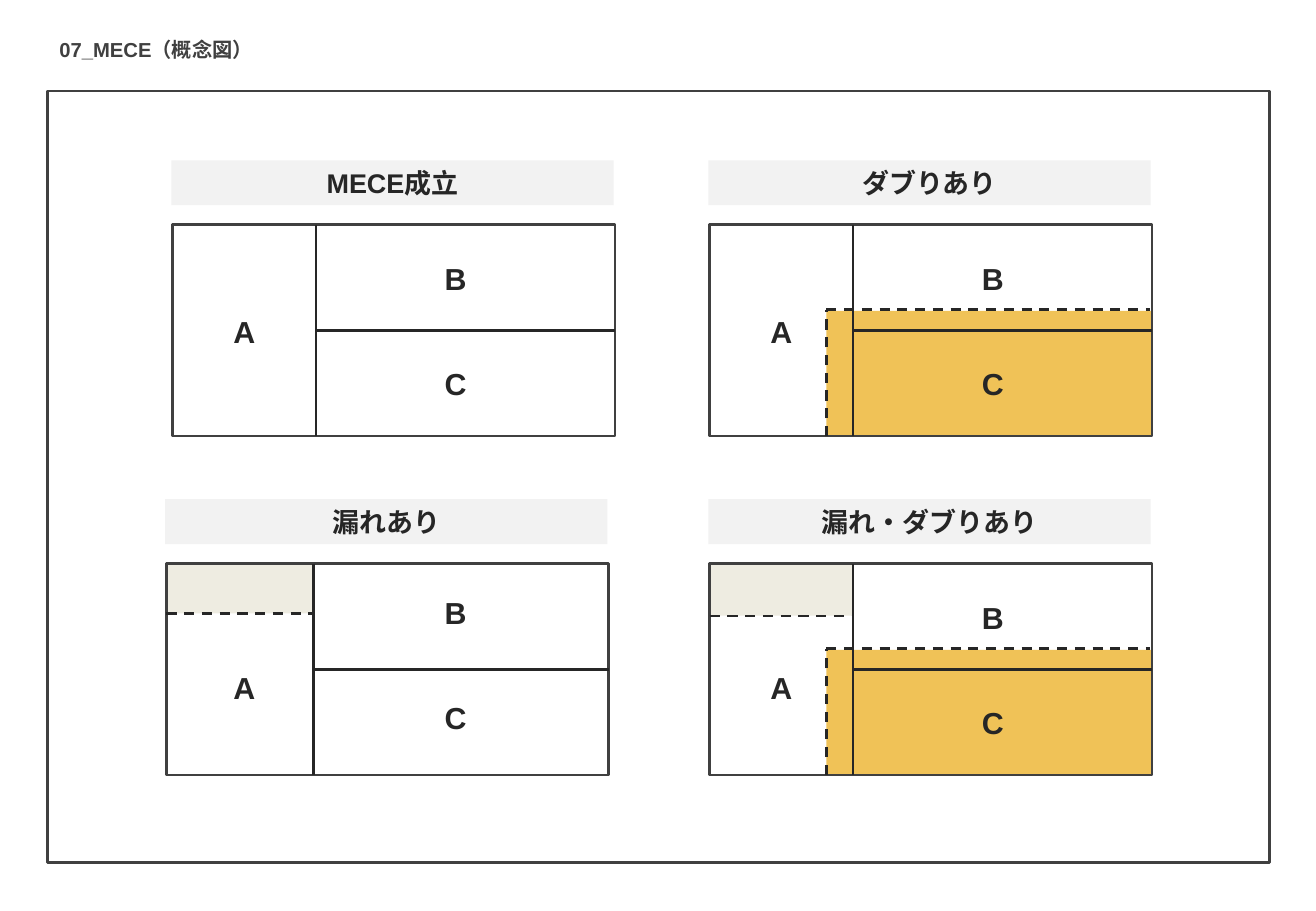
from pptx import Presentation
from pptx.dml.color import RGBColor
from pptx.enum.dml import MSO_LINE
from pptx.enum.shapes import MSO_CONNECTOR, MSO_SHAPE
from pptx.enum.text import MSO_ANCHOR, PP_ALIGN
from pptx.oxml.ns import qn
from pptx.util import Inches, Pt
from lxml import etree

INK, FRAME, HEADER = "262626", "404040", "F2F2F2"
LEAK, OVERLAP = "EEECE1", "F0C257"
BOX_W, BOX_H = 3.64, 1.74
LABEL_W, LABEL_H = 1.18, 0.4


def rgb(value):
    return RGBColor.from_string(value)


def write(sp, text, size, color=INK, align=PP_ALIGN.CENTER, anchor=MSO_ANCHOR.MIDDLE):
    tf = sp.text_frame
    tf.word_wrap = True
    tf.vertical_anchor = anchor
    tf.text = text
    p = tf.paragraphs[0]
    p.alignment = align
    font = p.runs[0].font
    font.name, font.size, font.bold = "Arial", Pt(size), True
    font.color.rgb = rgb(color)


def add_rect(s, x, y, w, h, fill=None, line=None):
    sp = s.shapes.add_shape(MSO_SHAPE.RECTANGLE, Inches(x), Inches(y), Inches(w), Inches(h))
    sp.shadow.inherit = False
    if fill:
        sp.fill.solid()
        sp.fill.fore_color.rgb = rgb(fill)
    else:
        sp.fill.background()
    if line:
        sp.line.color.rgb = rgb(line)
        sp.line.width = Pt(1.5)
    else:
        sp.line.fill.background()
    return sp


def add_line(s, x1, y1, x2, y2, dashed=False):
    ln = s.shapes.add_connector(MSO_CONNECTOR.STRAIGHT, Inches(x1), Inches(y1), Inches(x2), Inches(y2))
    ln.line.color.rgb = rgb(INK)
    ln.line.width = Pt(1.5)
    if dashed:
        ln.line.dash_style = MSO_LINE.DASH
    etree.SubElement(ln._element.spPr, qn("a:effectLst"))
    return ln


def add_label(s, x, y, text):
    tb = s.shapes.add_textbox(Inches(x), Inches(y), Inches(LABEL_W), Inches(LABEL_H))
    write(tb, text, 18)


def add_panel(s, x, y, title, label_x, split=1.18, a_y=0.68, b_y=0.24, leak=0, overlap=False):
    right, bottom = x + BOX_W, y + BOX_H
    lap_x, lap_y = x + 0.96, y + 0.7

    write(add_rect(s, x - 0.01, y - 0.53, BOX_W, 0.37, HEADER), title, 16)

    if leak:
        add_rect(s, x, y, split, leak, LEAK)
    if overlap:
        add_rect(s, lap_x, lap_y + 0.01, right - lap_x, bottom - lap_y - 0.01, OVERLAP)
    box = add_rect(s, x, y, BOX_W, BOX_H, None if leak or overlap else "FFFFFF", FRAME)

    add_line(s, x + split, y, x + split, bottom)
    row = add_line(s, x + split, y + BOX_H / 2, right, y + BOX_H / 2)
    row.end_connect(box, 3)
    if leak:
        add_line(s, x, y + leak, x + split, y + leak, dashed=True)
    if overlap:
        add_line(s, lap_x, lap_y, right - 0.02, lap_y, dashed=True)
        add_line(s, lap_x, bottom, lap_x, lap_y, dashed=True)

    add_label(s, label_x, y + a_y, "A")
    add_label(s, label_x + 1.74, y + b_y, "B")
    add_label(s, label_x + 1.74, y + b_y + BOX_H / 2, "C")


def add_page_frame(s, x, y, w, h):
    add_rect(s, x, y, w, h, line=FRAME)
    tb = s.shapes.add_textbox(Inches(x), Inches(y - 0.49), Inches(1.82), Inches(0.3))
    write(tb, "07_MECE（概念図）", 12, FRAME, PP_ALIGN.LEFT, MSO_ANCHOR.TOP)


def main():
    prs = Presentation()
    prs.slide_width, prs.slide_height = Inches(10.83), Inches(7.5)
    s = prs.slides.add_slide(prs.slide_layouts[6])

    left, right, top, bottom = 1.42, 5.84, 1.85, 4.64
    add_page_frame(s, 0.39, 0.75, 10.06, 6.35)
    add_panel(s, left, top, "MECE成立", left)
    add_panel(s, right, top, "ダブりあり", right, overlap=True)
    add_panel(s, left - 0.05, bottom, "漏れあり", left, split=1.21, a_y=0.82, b_y=0.2, leak=0.41)
    add_panel(s, right, bottom, "漏れ・ダブりあり", right, a_y=0.82, leak=0.43, overlap=True)

    prs.save("out.pptx")


if __name__ == "__main__":
    main()
